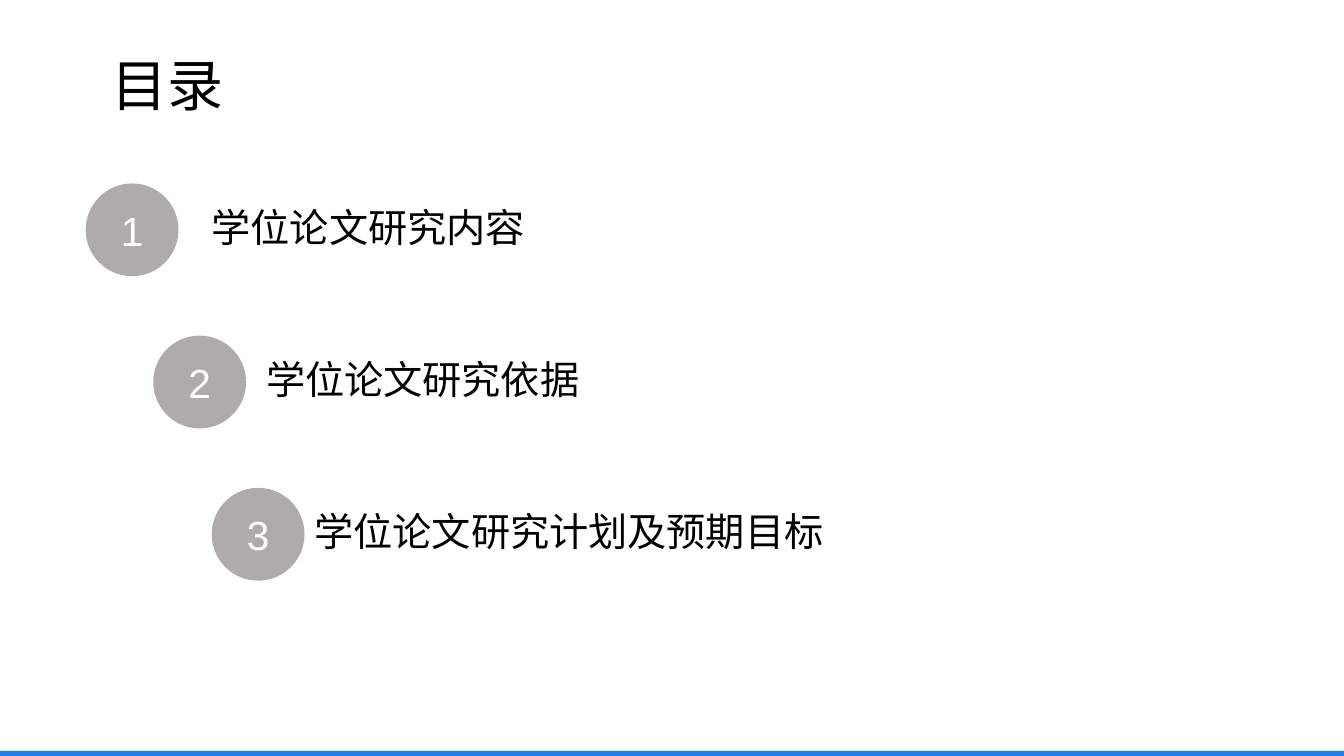
from pptx import Presentation
from pptx.dml.color import RGBColor
from pptx.enum.shapes import MSO_SHAPE
from pptx.enum.text import MSO_ANCHOR, MSO_AUTO_SIZE, PP_ALIGN
from pptx.util import Inches, Pt

COLORS = {"bar": "1E7EF2", "circle": "AFABAB", "number": "FFFFFF", "text": "000000"}


def add_filled_shape(kind, left, top, width, height, color):
    shape = slide.shapes.add_shape(
        kind, Inches(left), Inches(top), Inches(width), Inches(height))
    shape.shadow.inherit = False
    shape.fill.solid()
    shape.fill.fore_color.rgb = RGBColor.from_string(COLORS[color])
    shape.line.fill.background()
    return shape


def write_text(shape, text, size, color):
    shape.text_frame.word_wrap = True
    paragraph = shape.text_frame.paragraphs[0]
    paragraph.text = text
    font = paragraph.runs[0].font
    font.name = "Arial"
    font.size = Pt(size)
    font.color.rgb = RGBColor.from_string(COLORS[color])
    return paragraph


presentation = Presentation()
presentation.slide_width = Inches(13.33)
presentation.slide_height = Inches(7.5)
slide = presentation.slides.add_slide(presentation.slide_layouts[6])

# Bottom bar
add_filled_shape(MSO_SHAPE.RECTANGLE, 0, 7.45, 13.33, 0.05, "bar")

# Contents: circle left, label left, label
chapters = [
    (0.85, 2.0, "学位论文研究内容"),
    (1.52, 2.54, "学位论文研究依据"),
    (2.1, 3.02, "学位论文研究计划及预期目标"),
]
first_top, row_step = 1.82, 1.51
for index, (circle_left, label_left, chapter) in enumerate(chapters):
    top = first_top + index * row_step

    circle = add_filled_shape(MSO_SHAPE.OVAL, circle_left, top, 0.92, 0.92, "circle")
    circle.text_frame.vertical_anchor = MSO_ANCHOR.MIDDLE
    paragraph = write_text(circle, str(index + 1), 29, "number")
    paragraph.alignment = PP_ALIGN.CENTER

    label = slide.shapes.add_textbox(
        Inches(label_left), Inches(top - 0.08), Inches(8.12), Inches(1.07))
    label.text_frame.vertical_anchor = MSO_ANCHOR.MIDDLE
    paragraph = write_text(label, chapter, 28, "text")
    paragraph.line_spacing = 0.9
    paragraph.space_before = Pt(10)

# Title
title = slide.shapes.add_textbox(Inches(1.01), Inches(0.45), Inches(7.42), Inches(0.77))
title.text_frame.auto_size = MSO_AUTO_SIZE.SHAPE_TO_FIT_TEXT
write_text(title, "目录", 40, "text")

presentation.save("out.pptx")
